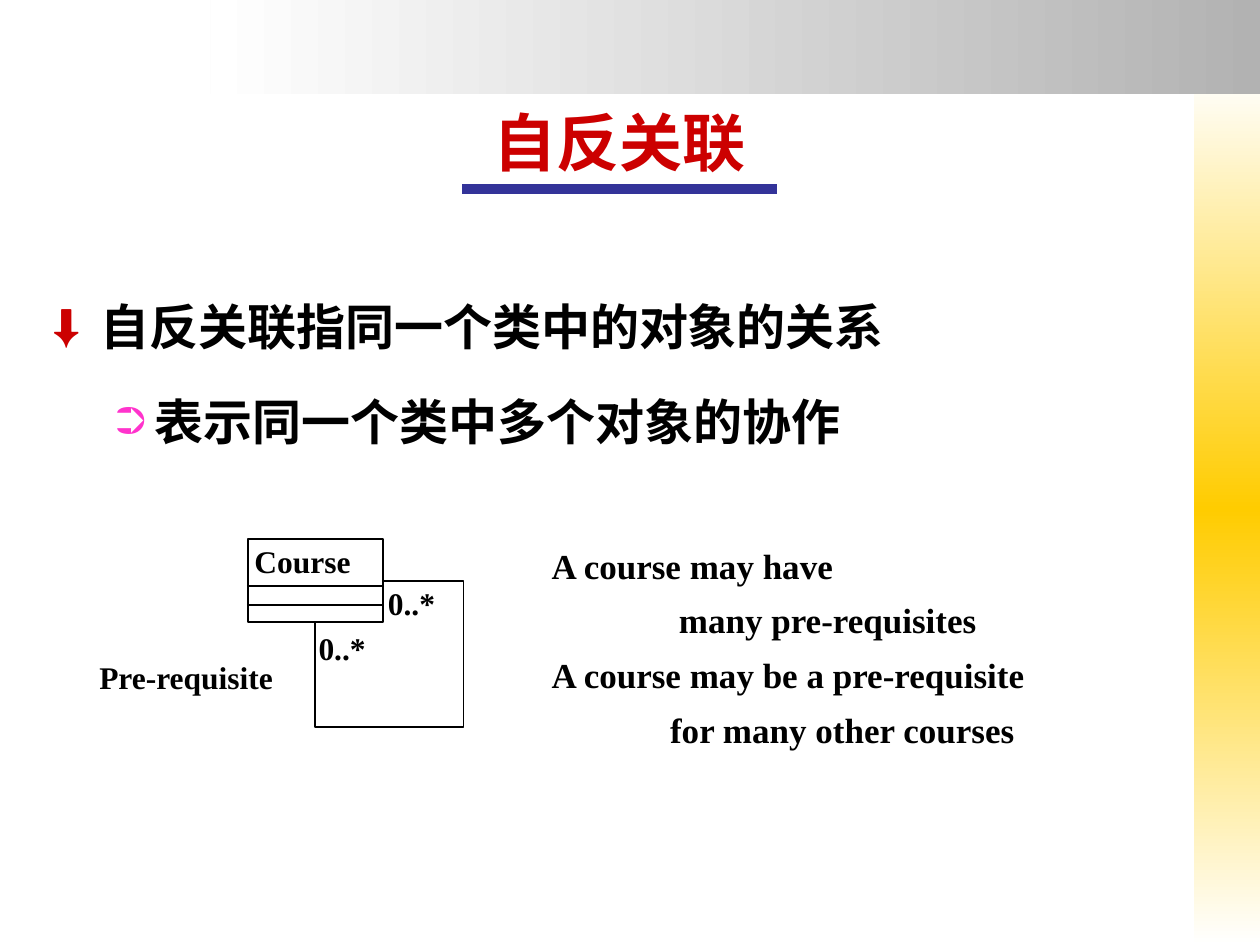
from lxml.etree import SubElement as Sub
from pptx import Presentation
from pptx.dml.color import RGBColor
from pptx.enum.shapes import MSO_CONNECTOR as Conn, MSO_SHAPE as Shape
from pptx.enum.text import MSO_ANCHOR as Anchor, MSO_AUTO_SIZE as Auto, PP_ALIGN as Align
from pptx.oxml.ns import qn
from pptx.util import Inches, Pt


def color(code):
    return RGBColor.from_string(code)


def put(item, **vals):
    for key, val in vals.items():
        setattr(item, key, val)


def place(item, box):
    put(item, **dict(zip(("left", "top", "width", "height"), map(Inches, box))))


class Page:
    face = "Times New Roman"
    ink = "000000"

    def __init__(self, slide):
        self.slide = slide
        self.shapes = slide.shapes

    def add_words(self, para, text, size, code=ink):
        run = para.add_run()
        run.text = text
        put(run.font, name=self.face, size=Pt(size), bold=True)
        run.font.color.rgb = color(code)

    def frame(self, holder, box, **vals):
        place(holder, box)
        put(holder.text_frame, margin_left=0, margin_right=0, margin_top=0,
            margin_bottom=0, auto_size=Auto.NONE, word_wrap=True, **vals)
        return holder.text_frame

    def title(self, text, box):
        para = self.frame(self.shapes.title, box, vertical_anchor=Anchor.BOTTOM).paragraphs[0]
        para.alignment = Align.CENTER
        self.add_words(para, text, 36, "CC0000")

    def body(self, items, box):
        frame = self.frame(self.slide.placeholders[1], box, vertical_anchor=Anchor.TOP)
        for num, (text, mark, code, scale, left, hang) in enumerate(items):
            para = frame.add_paragraph() if num else frame.paragraphs[0]
            props = para._p.get_or_add_pPr()
            props.set("marL", str(Inches(left)))
            props.set("indent", str(-Inches(hang)))
            Sub(Sub(props, qn("a:buClr")), qn("a:srgbClr"), val=code)
            Sub(props, qn("a:buSzPct"), val=str(scale * 1000))
            Sub(props, qn("a:buFont"), typeface=self.face)
            Sub(props, qn("a:buChar"), char=mark)
            put(para, level=num, line_spacing=1.4, space_before=Pt(7 if num else 0))
            self.add_words(para, text, 28)

    def fade(self, box, angle, stops):
        bar = self.shapes.add_shape(Shape.RECTANGLE, *map(Inches, box))
        bar.shadow.inherit = False
        bar.line.fill.background()
        bar.fill.gradient()
        bar.fill.gradient_angle = angle
        group = bar._element.spPr.find(qn("a:gradFill")).find(qn("a:gsLst"))
        for stop in list(group):
            group.remove(stop)
        for pos, code in stops:
            stop = Sub(group, qn("a:gs"), pos=str(pos * 1000))
            Sub(stop, qn("a:srgbClr"), val=code)

    def text(self, lines, box, size=18, space=1.0, tab=None):
        area = self.shapes.add_textbox(*map(Inches, box))
        frame = area.text_frame
        frame.word_wrap = False
        for num, line in enumerate(lines):
            para = frame.add_paragraph() if num else frame.paragraphs[0]
            if tab:
                tabs = Sub(para._p.get_or_add_pPr(), qn("a:tabLst"))
                Sub(tabs, qn("a:tab"), pos=str(Inches(tab)), algn="l")
            para.line_spacing = space
            self.add_words(para, line, size)

    def edge(self, item, code=ink, width=1):
        item.line.color.rgb = color(code)
        item.line.width = Pt(width)

    def hollow(self, shape):
        shape.shadow.inherit = False
        shape.fill.background()
        self.edge(shape)

    def rect(self, box):
        self.hollow(self.shapes.add_shape(Shape.RECTANGLE, *map(Inches, box)))

    def bend(self, *points):
        first, *rest = [tuple(map(Inches, point)) for point in points]
        form = self.shapes.build_freeform(*first)
        form.add_line_segments(rest, close=False)
        self.hollow(form.convert_to_shape())

    def rule(self, left, right, top, **style):
        line = self.shapes.add_connector(Conn.STRAIGHT, *map(Inches, (left, top, right, top)))
        Sub(line._element.spPr, qn("a:effectLst"))
        self.edge(line, **style)


def main():
    deck = Presentation()
    put(deck, slide_width=Inches(10), slide_height=Inches(7.5))
    page = Page(deck.slides.add_slide(deck.slide_layouts[1]))

    page.fade((9.48, 0.58, 0.52, 6.92), 90, [(0, "FFFFFF"), (50, "FFCC00"), (100, "FFFFFF")])
    page.fade((1.67, 0, 8.33, 0.75), 180, [(0, "B2B2B2"), (100, "FFFFFF")])
    page.title("自反关联", (0.33, 0.67, 9.17, 0.75))
    page.rule(3.67, 6.17, 1.5, code="333399", width=5.5)
    page.body([
        ("自反关联指同一个类中的对象的关系", "⬇", "CC0000", 90, 0.38, 0.38),
        ("表示同一个类中多个对象的协作", "➲", "FF33CC", 80, 0.81, 0.31),
    ], (0.42, 2.17, 9, 1.4))

    page.text([
        "A course may have",
        "\t many pre-requisites",
        "A course may be a pre-requisite",
        "\tfor many other courses",
    ], (4.28, 4.17, 4.73, 1.83), size=20, space=1.3, tab=0.94)

    page.text(["Pre-requisite"], (0.69, 5.17, 1.86, 0.4))
    page.rect((1.97, 4.28, 1.07, 0.66))
    page.text(["Course"], (1.92, 4.25, 1.09, 0.4))
    for top in (4.65, 4.8):
        page.rule(1.96, 3.05, top)
    page.bend((3.37, 5.77), (2.5, 5.77), (2.5, 4.94))
    page.bend((3.37, 5.77), (3.68, 5.77), (3.68, 4.61), (3.05, 4.61))
    for left, top in ((2.98, 4.62), (2.43, 4.98)):
        page.text(["0..*"], (left, top, 0.63, 0.36), space=0.9)

    deck.save("out.pptx")


if __name__ == "__main__":
    main()
